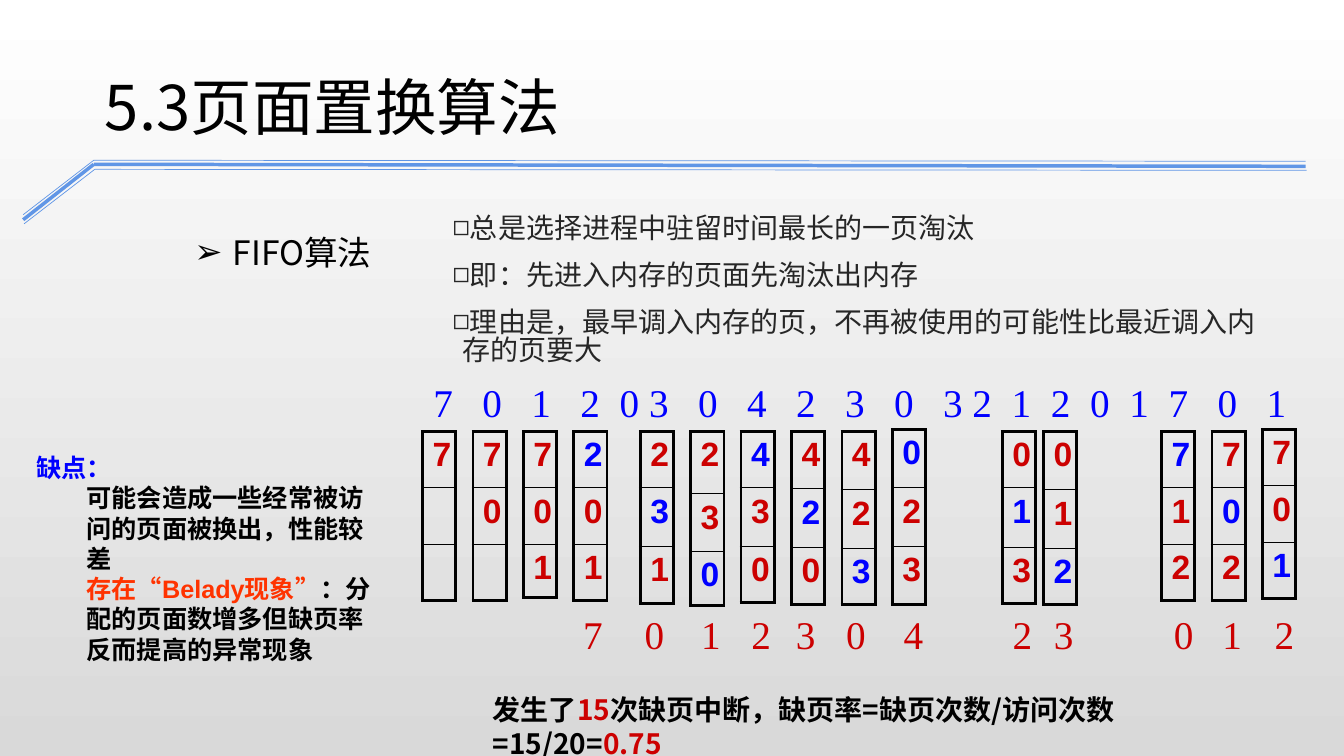
from itertools import accumulate

from lxml.etree import SubElement
from pptx import Presentation
from pptx.dml.color import RGBColor
from pptx.enum.shapes import MSO_CONNECTOR
from pptx.enum.text import MSO_ANCHOR, PP_ALIGN
from pptx.oxml import parse_xml
from pptx.oxml.ns import nsdecls, qn
from pptx.util import Emu, Pt

PX = 9144
CJK = "Noto Sans CJK JP"
SERIF = "Times New Roman"
BLACK, BLUE, RED, ORANGE = "000000", "0000FF", "CC0000", "FF3300"
GRAY, RULE = "262626", "6096E6"


def px(length):
    return Emu(length * PX)


def color(value):
    return RGBColor.from_string(value)


class Deck:
    def __init__(self, width, height):
        self.presentation = Presentation()
        self.presentation.slide_width = px(width)
        self.presentation.slide_height = px(height)
        self.slide = None

    def new_slide(self, top, bottom):
        self.slide = self.presentation.slides.add_slide(self.presentation.slide_layouts[5])
        fill = self.slide.background.fill
        fill.gradient()
        fill.gradient_angle = 270
        for stop, value in zip(fill.gradient_stops, (top, bottom)):
            stop.color.rgb = color(value)

    def style(self, run, value, size, font=CJK, bold=False):
        run.font.size = Pt(size)
        run.font.bold = bold
        run.font.name = font
        run.font.color.rgb = color(value)
        east_asian = SubElement(run.font._element, qn("a:ea"))
        east_asian.set("typeface", CJK if font == "Arial" else font)

    def title(self, box, words, size):
        title = self.slide.shapes.title
        title.left, title.top, title.width, title.height = map(px, box)
        frame = title.text_frame
        frame.text = words
        frame.vertical_anchor = MSO_ANCHOR.MIDDLE
        frame.paragraphs[0].alignment = PP_ALIGN.LEFT
        self.style(frame.paragraphs[0].runs[0], BLACK, size)

    def text(self, box, paragraphs, size, font=CJK, bold=False, wrap=True,
             align=PP_ALIGN.LEFT, spacing=None, before=0):
        frame = self.slide.shapes.add_textbox(*map(px, box)).text_frame
        frame.word_wrap = wrap
        for index, parts in enumerate(paragraphs):
            paragraph = frame.add_paragraph() if index else frame.paragraphs[0]
            paragraph.alignment = align
            if spacing:
                paragraph.line_spacing = spacing
            if index and before:
                paragraph.space_before = Pt(before)
            for words, value in parts:
                run = paragraph.add_run()
                run.text = words
                self.style(run, value, size, font, bold)
        return frame.paragraphs

    def indent(self, paragraph, margin, hanging=0, bullet=None):
        properties = paragraph._p.get_or_add_pPr()
        properties.set("marL", str(px(margin)))
        properties.set("indent", str(px(-hanging)))
        if bullet:
            SubElement(properties, qn("a:buFont")).set("typeface", "Arial")
            SubElement(properties, qn("a:buChar")).set("char", bullet)

    def tabs(self, paragraph, stops):
        tab_list = SubElement(paragraph._p.get_or_add_pPr(), qn("a:tabLst"))
        for stop in stops:
            tab = SubElement(tab_list, qn("a:tab"))
            tab.set("pos", str(stop))
            tab.set("algn", "l")

    def polyline(self, points, weight):
        for start, end in zip(points, points[1:]):
            line = self.slide.shapes.add_connector(
                MSO_CONNECTOR.STRAIGHT, *map(px, start + end))
            line.line.color.rgb = color(RULE)
            line.line.width = Pt(weight)
            SubElement(line._element.spPr, qn("a:effectLst"))

    def borders(self, cell, **weights):
        properties = cell._tc.get_or_add_tcPr()
        for index, (side, weight) in enumerate(weights.items()):
            properties.insert(index, parse_xml(
                f'<a:ln{side} {nsdecls("a")} w="{Pt(weight)}"><a:solidFill>'
                f'<a:srgbClr val="{BLACK}"/></a:solidFill></a:ln{side}>'))

    def frames(self, left, top, pages, loaded, heights):
        table = self.slide.shapes.add_table(
            3, 1, px(left), px(top), px(33), px(sum(heights))).table
        table.first_row = table.horz_banding = False
        table.columns[0].width = px(33)
        for index, height in enumerate(heights):
            table.rows[index].height = px(height)
            cell = table.cell(index, 0)
            cell.fill.background()
            self.borders(cell, L=2.25, R=2.25, T=1 if index else 2.25,
                         B=2.25 if index == 2 else 1)
            if index < len(pages):
                cell.text_frame.text = pages[index]
                self.style(cell.text_frame.paragraphs[0].runs[0],
                           BLUE if index == loaded else RED, 24, "Arial", True)


def main():
    deck = Deck(1333, 750)
    deck.new_slide("FFFFFF", "D9D9D9")

    deck.polyline([(23, 213), (93, 159), (1295, 160)], 0.5)
    deck.polyline([(23, 218), (93, 163), (1295, 165)], 2.5)
    deck.polyline([(24, 222), (94, 168), (1296, 169)], 0.5)
    deck.title((94, 63, 952, 84), "5.3页面置换算法", 44)

    heading = deck.text((183, 205, 1145, 71), [[("FIFO算法", BLACK)]], 24, spacing=1.5)
    deck.indent(heading[0], 38, 38, "➢")

    rules = ["总是选择进程中驻留时间最长的一页淘汰",
             "即：先进入内存的页面先淘汰出内存",
             "理由是，最早调入内存的页，不再被使用的可能性比最近调入内存的页要大"]
    for rule in deck.text((439, 209, 825, 196), [[(rule, GRAY)] for rule in rules],
                          20, spacing=0.85, before=13):
        deck.indent(rule, 10, 10, "◻")

    references = "70120304230321201701"
    gaps = [3, 3, 3, 2, 1, 3, 3, 3, 3, 3, 3, 1, 2, 2, 2, 2, 2, 3, 3]
    sequence = deck.text((420, 370, 907, 57), [[("\t".join(references), BLUE)]], 28, SERIF)
    deck.tabs(sequence[0], accumulate(Pt(7 * (gap + 2)) for gap in gaps))

    even = (56, 56, 56)
    steps = [
        (419, 428, "7", None, even, None),
        (469, 428, "70", None, even, None),
        (519, 428, "701", None, (56, 56, 53), None),
        (569, 428, "201", 0, even, (568, "7")),
        (635, 428, "231", 1, (56, 58, 57), (629, "0")),
        (685, 428, "230", 2, (62, 57, 54), (685, "1")),
        (735, 428, "430", 0, (56, 58, 56), (735, "2")),
        (785, 428, "420", 1, (57, 58, 57), (779, "3")),
        (835, 428, "423", 2, (58, 58, 56), (829, "0")),
        (885, 426, "023", 0, (58, 58, 58), (886, "4")),
        (994, 428, "013", 1, (56, 59, 56), (994, "2")),
        (1035, 428, "012", 2, (58, 58, 56), (1035, "3")),
        (1152, 428, "712", 0, even, (1154, "0")),
        (1202, 428, "702", 1, even, (1202, "1")),
        (1252, 426, "701", 2, even, (1254, "2")),
    ]
    for left, top, pages, loaded, heights, evicted in steps:
        deck.frames(left, top, pages, loaded, heights)
        if evicted:
            evicted_left, page = evicted
            deck.text((evicted_left, 601, 40, 57), [[(page, RED)]], 28, SERIF,
                      wrap=False, align=PP_ALIGN.CENTER)

    fault_rate = deck.text((429, 682, 845, 44), [[
        ("发生了", BLACK), ("15", RED),
        ("次缺页中断，缺页率=缺页次数/访问次数=15/20=", BLACK), ("0.75", RED)]], 20, bold=True)
    deck.indent(fault_rate[0], 50)

    drawbacks = deck.text((26, 444, 360, 222), [
        [("缺点：", BLUE)],
        [("可能会造成一些经常被访问的页面被换出，性能较差", BLACK)],
        [("存在“Belady现象”", ORANGE),
         ("：分配的页面数增多但缺页率反而提高的异常现象", BLACK)]], 18, "Arial", True)
    for drawback in drawbacks[1:]:
        deck.indent(drawback, 50)

    deck.presentation.save("out.pptx")


if __name__ == "__main__":
    main()
